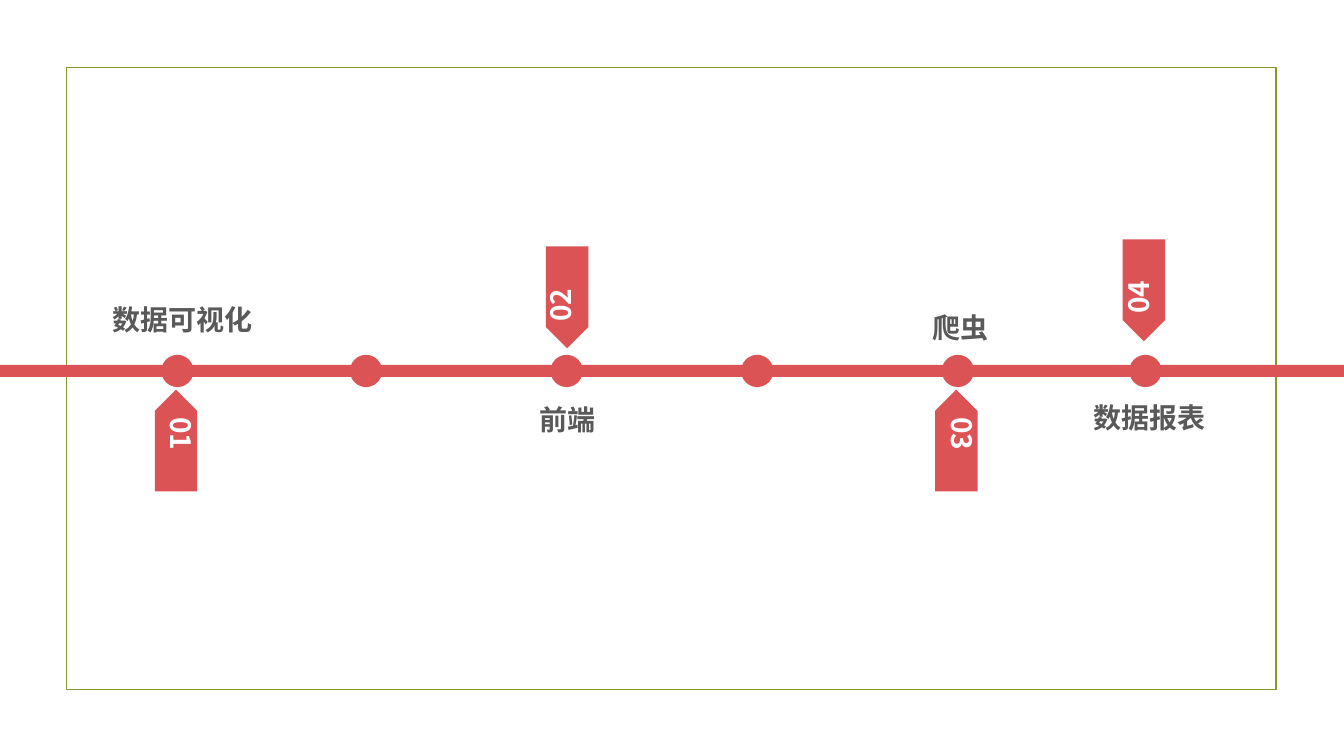
"""Build a timeline slide with four numbered milestones."""
from dataclasses import dataclass
from typing import Any

from pptx import Presentation
from pptx.dml.color import RGBColor
from pptx.enum import shapes, text
from pptx.oxml.ns import qn
from pptx.util import Inches, Pt


@dataclass(frozen=True)
class Theme:
    accent: RGBColor = RGBColor(0xDB, 0x53, 0x55)
    frame: RGBColor = RGBColor(0x83, 0x99, 0x2A)
    label: RGBColor = RGBColor(0x59, 0x59, 0x59)
    number: RGBColor = RGBColor(0xFF, 0xFF, 0xFF)
    font: str = "Noto Sans CJK SC"
    text_size: float = 20
    frame_width: float = 1.25


@dataclass(frozen=True)
class Box:
    left: float
    top: float
    width: float
    height: float

    def lengths(self) -> tuple[int, ...]:
        return tuple(Inches(side) for side in (self.left, self.top, self.width, self.height))


@dataclass(frozen=True)
class Milestone:
    number: str
    title: str
    title_left: float
    title_top: float
    tag_left: float
    tag_top: float
    number_left: float
    number_top: float
    points_down: bool


THEME = Theme()
FRAME = Box(0.66, 0.67, 12, 6.17)
BAR_TOP, BAR_HEIGHT = 3.62, 0.12
BAR_START, BAR_STEP, BAR_WIDTH, BAR_COUNT = 1.72, 1.94, 1.95, 6
DOT_LEFTS = (1.6, 3.47, 5.46, 7.35, 9.34, 11.2)
DOT_TOP, DOT_SIZE = 3.52, 0.32
MILESTONES = (
    Milestone("01", "数据可视化", 1.02, 2.95, 1.24, 4.16, 1.48, 4.04, False),
    Milestone("02", "前端", 5.25, 3.94, 5.12, 2.74, 5.34, 2.22, True),
    Milestone("03", "爬虫", 9.15, 3.03, 8.98, 4.16, 9.22, 4.04, False),
    Milestone("04", "数据报表", 10.75, 3.92, 10.84, 2.67, 11.07, 2.14, True),
)


def add_solid(parent: Any, kind: shapes.MSO_SHAPE, box: Box, rotation: float = 0) -> None:
    """Add a borderless accent shape."""
    shape = parent.add_shape(kind, *box.lengths())
    shape.shadow.inherit = False
    shape.fill.solid()
    shape.fill.fore_color.rgb = THEME.accent
    shape.line.fill.background()
    shape.rotation = rotation


def add_text(parent: Any, content: str, box: Box, *, color: RGBColor,
             vertical: bool = False, rotation: float = 0) -> None:
    """Add a bold text box, optionally vertical and rotated."""
    textbox = parent.add_textbox(*box.lengths())
    textbox.rotation = rotation
    frame = textbox.text_frame
    frame.word_wrap = True
    frame.auto_size = text.MSO_AUTO_SIZE.SHAPE_TO_FIT_TEXT
    if vertical:
        frame.vertical_anchor = text.MSO_ANCHOR.TOP
        textbox.element.txBody.bodyPr.set("vert", "eaVert")
    span = frame.paragraphs[0].add_run()
    span.text = content
    span.font.name = THEME.font
    span.font.size = Pt(THEME.text_size)
    span.font.bold = True
    span.font.color.rgb = color
    properties = span.font._element
    east_asian = properties.makeelement(qn("a:ea"), {"typeface": THEME.font})
    properties.find(qn("a:latin")).addnext(east_asian)


def add_frame(page: Any) -> None:
    """Add the thin outline around the slide."""
    outline = page.shapes.add_shape(shapes.MSO_SHAPE.RECTANGLE, *FRAME.lengths())
    outline.shadow.inherit = False
    outline.fill.background()
    outline.line.color.rgb = THEME.frame
    outline.line.width = Pt(THEME.frame_width)


def add_timeline(page: Any) -> None:
    """Add the bar segments and the dots on them."""
    bars = [Box(0, BAR_TOP, BAR_START, BAR_HEIGHT)]
    bars += [Box(BAR_START + index * BAR_STEP, BAR_TOP, BAR_WIDTH, BAR_HEIGHT)
             for index in range(BAR_COUNT)]
    for bar in bars:
        add_solid(page.shapes, shapes.MSO_SHAPE.RECTANGLE, bar)
    for left in DOT_LEFTS:
        add_solid(page.shapes, shapes.MSO_SHAPE.OVAL, Box(left, DOT_TOP, DOT_SIZE, DOT_SIZE))


def add_milestone(page: Any, milestone: Milestone) -> None:
    """Add a title and its grouped number tag."""
    add_text(page.shapes, milestone.title,
             Box(milestone.title_left, milestone.title_top, 3.07, 0.44), color=THEME.label)
    tag = page.shapes.add_group_shape().shapes
    add_solid(tag, shapes.MSO_SHAPE.PENTAGON,
              Box(milestone.tag_left, milestone.tag_top, 1.01, 0.42),
              rotation=90 if milestone.points_down else 270)
    add_text(tag, milestone.number,
             Box(milestone.number_left, milestone.number_top, 0.54, 1.07),
             color=THEME.number, vertical=True,
             rotation=180 if milestone.points_down else 0)


def main() -> None:
    """Build and save the deck."""
    deck = Presentation()
    deck.slide_width, deck.slide_height = Inches(13.33), Inches(7.5)
    page = deck.slides.add_slide(deck.slide_layouts[6])
    add_frame(page)
    add_timeline(page)
    for milestone in MILESTONES:
        add_milestone(page, milestone)
    deck.save("out.pptx")


if __name__ == "__main__":
    main()
